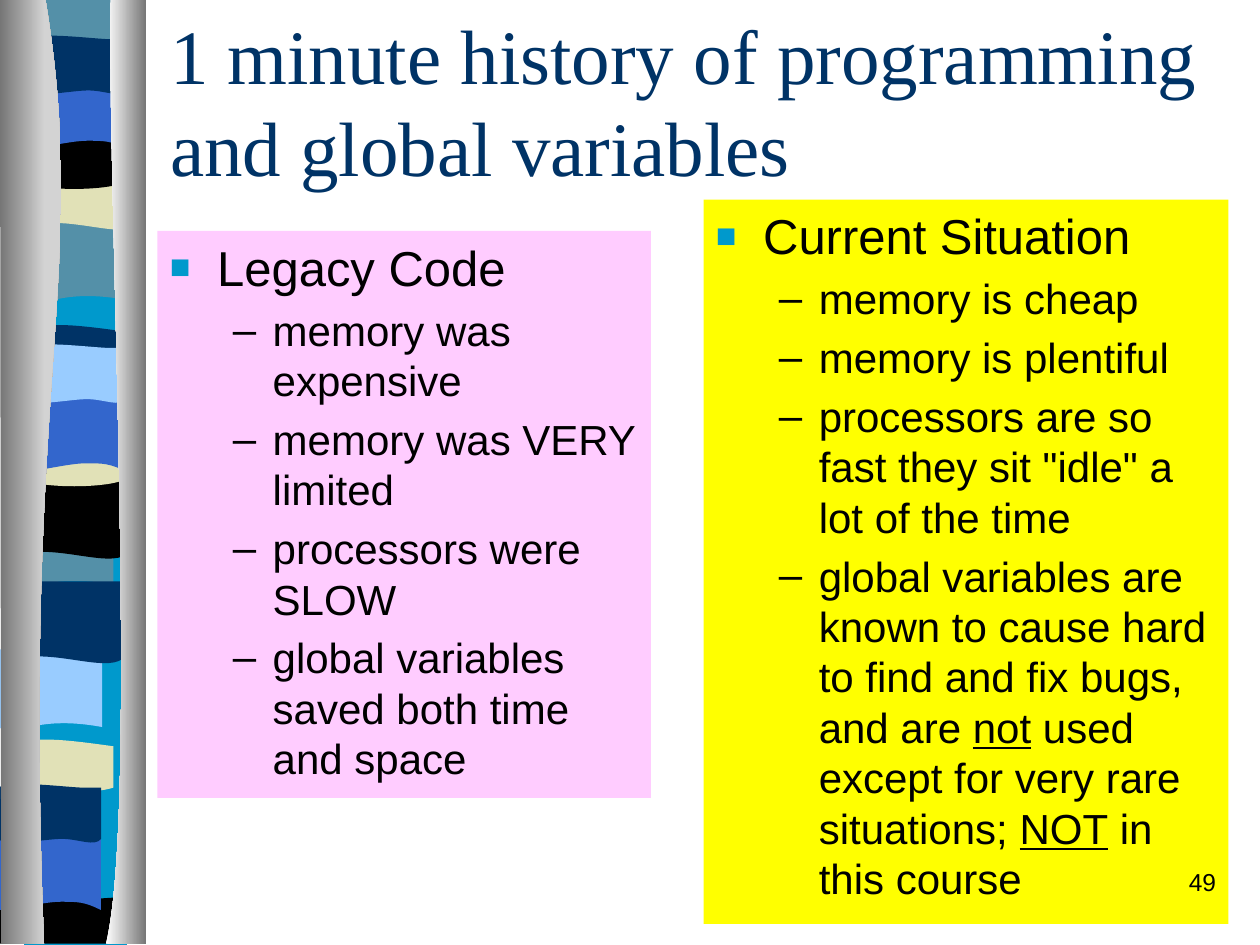
import pptx
import pptx.dml.color
import pptx.enum.shapes
import pptx.enum.text
import pptx.oxml
import pptx.oxml.ns
import pptx.util

RGB = pptx.dml.color.RGBColor
ALIGN = pptx.enum.text.PP_ALIGN
ANCHOR = pptx.enum.text.MSO_ANCHOR
RECT = pptx.enum.shapes.MSO_SHAPE.RECTANGLE

NAVY = RGB(0x00, 0x33, 0x66)
TEAL = RGB(0x00, 0x99, 0xCC)
SLATE = RGB(0x54, 0x90, 0xA8)
CREAM = RGB(0xE1, 0xE1, 0xB7)
BLUE = RGB(0x33, 0x66, 0xCC)
SKY = RGB(0x99, 0xCC, 0xFF)
PINK = RGB(0xFF, 0xCC, 0xFF)
YELLOW = RGB(0xFF, 0xFF, 0x00)
BLACK = RGB(0x00, 0x00, 0x00)
WHITE = RGB(0xFF, 0xFF, 0xFF)
GREY = RGB(0x76, 0x76, 0x76)
PALE = RGB(0xD3, 0xD3, 0xD3)

PX = 7620  # 120 px to the inch
GRID = 1.2  # px in one step of the ribbon's grid
SLIM, TALL = 0.76, 1.31  # stretch of a ribbon piece about its centre

# Outlines from their left top corner: pairs are lines, sixes are Bezier curves
DROP = [(108, 0), (108, 47), (33, 39, 18, 55, 0, 47), (0, 0)]
SAG = [(108, 0), (108, 47), (90, 55, 34, 41, 0, 47), (0, 0)]
CAP = [(108, 0), (108, 25), (90, 29, 18, 29, 0, 25), (0, 0),
       (7, -5, 24, -4, 42, -4), (60, -4, 95, -1, 108, 0)]
DIP = [(108, 0), (108, 32), (90, 38, 18, 38, 0, 32), (0, 0),
       (66, 5, 85, 0, 108, 0)]
ARCH = [(108, 0), (108, 47), (91, 42, 84, 42, 66, 42),
        (48, 42, 16, 47, 0, 47), (0, 0)]
ROLL = [(108, 0), (108, 31), (101, 36, 85, 31, 67, 31),
        (49, 31, 11, 36, 0, 31), (0, 0),
        (15, -5, 74, 0, 92, 0), (110, 0, 105, 0, 108, 0)]
BASE = [(108, 0), (108, 37), (0, 37), (0, 0), (66, 5, 85, 0, 108, 0)]
BACK = [(82, 0), (82, 750), (0, 750), (0, 0)]
LEFT = [(36, -1), (72, 216, 17, 296, 35, 749), (1, 749), (0, -1)]
RIGHT = [(88, -1), (84, 125, 111, 646, 84, 749), (116, 749), (116, 0)]

# Ribbon pieces from back to front: outline, left, top, colour
RIBBON = [
    (DROP, 5, 185, SLATE), (SAG, 15, 126, CREAM), (CAP, 15, 6, SLATE),
    (DIP, 5, 108, BLACK), (ARCH, 6, 64, BLUE), (ROLL, 6, 36, NAVY),
    (DROP, -5, 411, SLATE), (SAG, 5, 387, BLACK), (CAP, 5, 267, NAVY),
    (DIP, 5, 344, CREAM), (ARCH, 5, 320, BLUE), (ROLL, 5, 281, SKY),
    (DROP, -14, 524, SKY), (SAG, 2, 470, NAVY), (CAP, -5, 596, CREAM),
    (BASE, -5, 712, BLACK), (ARCH, -15, 668, BLUE), (ROLL, -15, 630, NAVY),
]

OLD = ["memory was expensive", "memory was VERY limited",
       "processors were SLOW", "global variables saved both time and space"]
NEW = ["memory is cheap", "memory is plentiful",
       'processors are so fast they sit "idle" a lot of the time',
       "global variables are known to cause hard to find and fix bugs, "
       "and are _not_ used except for very rare situations; "
       "_NOT_ in this course"]


def scale(line):
    """Stretch an outline about the centre of its box."""
    mids = []
    for k in (0, 1):
        nums = [n for part in line for n in part[k::2]]
        mids.append((min(nums) + max(nums)) / 2)
    rates = (SLIM, TALL)
    return [tuple(mids[i % 2] + (n - mids[i % 2]) * rates[i % 2]
                  for i, n in enumerate(part)) for part in line]


def write(par, text, size=24, font="Arial", color=BLACK, align=ALIGN.LEFT,
          gap=0):
    """Fill a paragraph; words between underscores are underlined."""
    par.alignment = align
    par.space_before = pptx.util.Pt(gap)
    for i, bit in enumerate(text.split("_")):
        run = par.add_run()
        run.text = bit
        run.font.size = pptx.util.Pt(size)
        run.font.name = font
        run.font.color.rgb = color
        if i % 2:
            run.font.underline = True


def mark(par, left, hang, sign, color=None, share=None):
    """Give a paragraph a hanging bullet."""
    props = par._p.get_or_add_pPr()
    props.set("marL", str(left * PX))
    props.set("indent", str(-hang * PX))
    tags = []
    if color is not None:
        tags.append(f'<a:buClr {{}}><a:srgbClr val="{color}"/></a:buClr>')
    if share:
        tags.append(f'<a:buSzPct {{}} val="{share * 1000}"/>')
    tags += ['<a:buFont {} typeface="Arial"/>', f'<a:buChar {{}} char="{sign}"/>']
    for tag in tags:
        props.append(pptx.oxml.parse_xml(tag.format(pptx.oxml.ns.nsdecls("a"))))


class Deck:
    def __init__(self):
        self.show = pptx.Presentation()
        self.show.slide_width, self.show.slide_height = 1200 * PX, 900 * PX
        self.slide = self.show.slides.add_slide(self.show.slide_layouts[5])
        self.shapes = self.slide.shapes

    def free(self, line, x=0, y=0):
        parts = [[round(((y if i % 2 else x) + n) * GRID * PX)
                  for i, n in enumerate(part)] for part in line]
        pen = self.shapes.build_freeform(*parts[0])
        pen.add_line_segments([part[-2:] for part in parts[1:]], close=True)
        shape = pen.convert_to_shape()
        shape.shadow.inherit = False
        shape.line.fill.background()
        # Turn the sides with control points into curves
        qn = pptx.oxml.ns.qn
        sides = list(shape._element.iter(qn("a:lnTo")))
        for side, part in zip(sides, parts[1:]):
            if len(part) == 6:
                curve = side.makeelement(qn("a:cubicBezTo"), {})
                for a, b in zip(part[::2], part[1::2]):
                    spot = side.makeelement(qn("a:pt"), {
                        "x": str(a - shape.left), "y": str(b - shape.top)})
                    curve.append(spot)
                side.getparent().replace(side, curve)
        return shape

    def band(self, line, x, y, color):
        fill = self.free(line, x, y).fill
        fill.solid()
        fill.fore_color.rgb = color

    def edge(self, line, start, end):
        fill = self.free(line).fill
        fill.gradient()
        fill.gradient_angle = 0
        for stop, color in zip(fill.gradient_stops, (start, end)):
            stop.color.rgb = color

    def title(self, text, x, y, w, h):
        box = self.shapes.title
        box.left, box.top, box.width, box.height = (n * PX for n in (x, y, w, h))
        frame = box.text_frame
        frame.word_wrap = True
        frame.auto_size = pptx.enum.text.MSO_AUTO_SIZE.NONE
        frame.vertical_anchor = ANCHOR.MIDDLE
        write(frame.paragraphs[0], text, size=44, font="Times New Roman",
              color=NAVY)

    def panel(self, head, items, x, y, w, h, color):
        box = self.shapes.add_shape(RECT, *(n * PX for n in (x, y, w, h)))
        box.shadow.inherit = False
        box.fill.solid()
        box.fill.fore_color.rgb = color
        box.line.fill.background()
        frame = box.text_frame
        frame.word_wrap = True
        frame.vertical_anchor = ANCHOR.TOP
        par = frame.paragraphs[0]
        write(par, head, size=28, gap=5.6)
        mark(par, 45, 45, "■", color=TEAL, share=70)
        for item in items:
            par = frame.add_paragraph()
            par.level = 1
            write(par, item, gap=4.8)
            mark(par, 98, 38, "–")

    def label(self, text, x, y, w, h):
        box = self.shapes.add_textbox(*(n * PX for n in (x, y, w, h)))
        box.text_frame.word_wrap = True
        write(box.text_frame.paragraphs[0], text, size=14, align=ALIGN.RIGHT)


def main():
    deck = Deck()
    # Ribbon between two shaded edges
    deck.band(BACK, 19, 0, TEAL)
    for line, x, y, color in RIBBON:
        deck.band(line if line is BASE else scale(line), x, y, color)
    deck.edge(LEFT, GREY, PALE)
    deck.edge(RIGHT, WHITE, GREY)
    # Title and the two panels
    deck.title("1 minute history of programming and global variables",
               150, 20, 1020, 150)
    deck.panel("Legacy Code", OLD, 150, 220, 470, 540, PINK)
    deck.panel("Current Situation", NEW, 670, 190, 500, 690, YELLOW)
    # Page number
    deck.label("49", 920, 820, 250, 60)
    deck.show.save("out.pptx")


if __name__ == "__main__":
    main()
